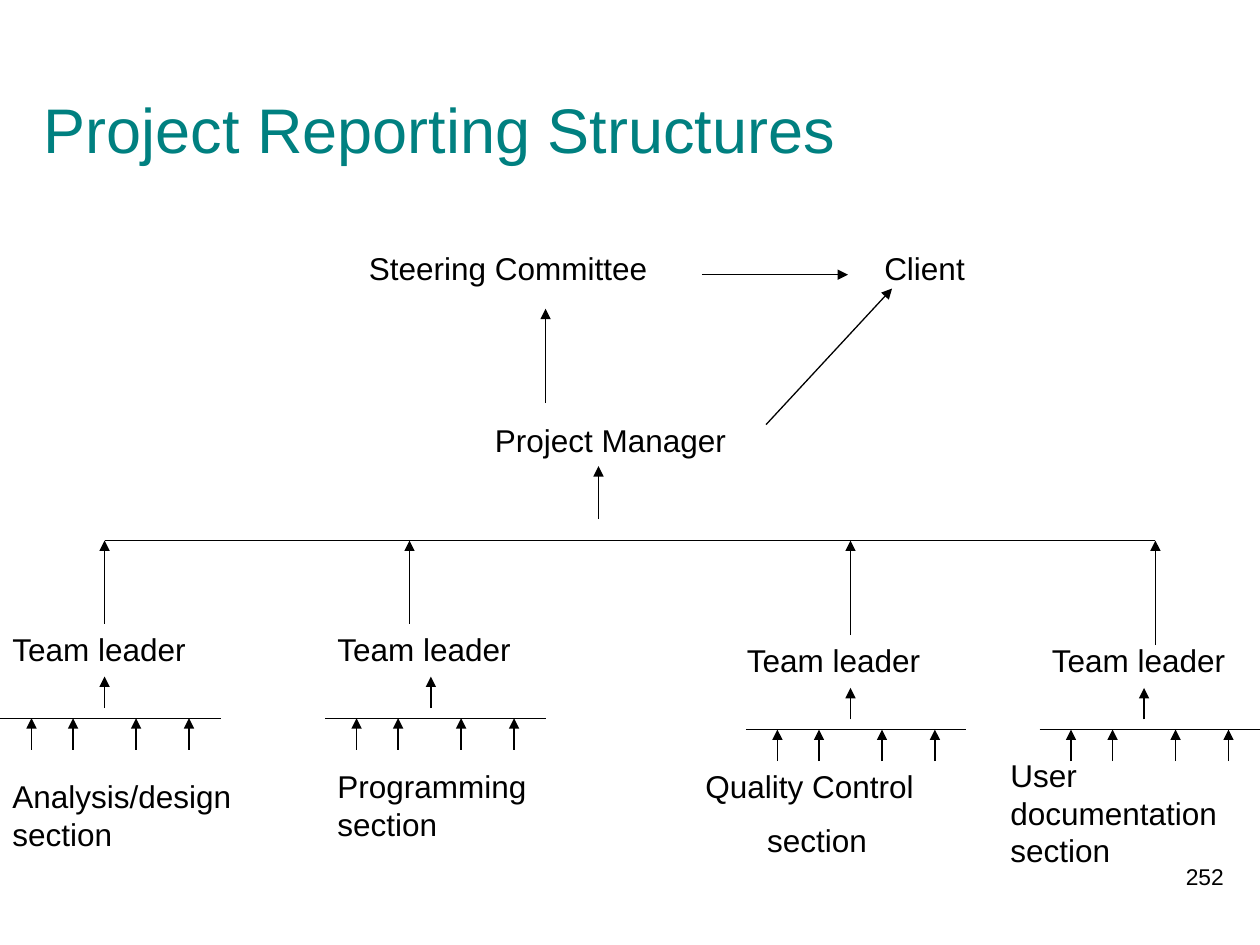
import pptx
import pptx.util
import pptx.dml.color
import pptx.enum.shapes
import pptx.enum.text
from lxml import etree
from pptx.util import Inches, Pt

BLACK = pptx.dml.color.RGBColor(0, 0, 0)
TEAL = pptx.dml.color.RGBColor(0, 128, 128)
FONT = "Arial"
DRAWING_NS = "{http://schemas.openxmlformats.org/drawingml/2006/main}"

ROLES = [
    ("Steering Committee", 2.83, 1.93),
    ("Client", 6.92, 1.93),
    ("Project Manager", 3.83, 3.29),
]
REPORTING_ARROWS = [
    ((5.57, 2.18), (6.73, 2.18)),
    ((4.33, 3.2), (4.33, 2.45)),
    ((6.08, 3.37), (7.08, 2.29)),
    ((4.75, 4.12), (4.75, 3.7)),
]
TEAMS = [
    dict(section=["Analysis/design section"], section_at=(0, 6.12), section_height=0.7,
         leader_x=0, riser_x=0.83, riser_bottom=4.95, bar_x=0, bar_y=5.7, stem_x=0.83),
    dict(section=["Programming section"], section_at=(2.58, 6.04), section_height=0.7,
         leader_x=2.58, riser_x=3.25, riser_bottom=4.95, bar_x=2.58, bar_y=5.7, stem_x=3.42),
    dict(section=["Quality Control", "section"], section_at=(5.5, 6.04), section_height=0.85,
         leader_x=5.83, riser_x=6.75, riser_bottom=5.04, bar_x=5.92, bar_y=5.79, stem_x=6.75),
    dict(section=["User documentation section"], section_at=(7.92, 5.95), section_height=1,
         leader_x=8.25, riser_x=9.17, riser_bottom=5.12, bar_x=8.25, bar_y=5.79, stem_x=9.08),
]
STAFF_OFFSETS = [0.25, 0.58, 1.08, 1.5]
TEAM_BAR_Y = 4.29
BAR_WIDTH = 1.75
LABEL_WIDTH, LABEL_HEIGHT = 3.5, 0.4
SECTION_WIDTH = 2.25
SECOND_LINE_INDENT = 0.49


def add_text(slide, lines, left, top, width, height, size=18, color=BLACK, align=None):
    box = slide.shapes.add_textbox(Inches(left), Inches(top), Inches(width), Inches(height))
    frame = box.text_frame
    frame.word_wrap = True
    for index, line in enumerate(lines):
        paragraph = frame.add_paragraph() if index else frame.paragraphs[0]
        paragraph.text = line
        paragraph.alignment = align
        if index:
            paragraph.space_before = Pt(size / 2)
            paragraph._p.get_or_add_pPr().set("marL", str(Inches(SECOND_LINE_INDENT)))
        paragraph.font.name = FONT
        paragraph.font.size = Pt(size)
        paragraph.font.color.rgb = color


def add_line(slide, start, end, arrow=True):
    line = slide.shapes.add_connector(
        pptx.enum.shapes.MSO_CONNECTOR.STRAIGHT, *(Inches(value) for value in (*start, *end)))
    line.line.color.rgb = BLACK
    line.line.width = Pt(0.75)
    if arrow:
        etree.SubElement(line.line._get_or_add_ln(), DRAWING_NS + "tailEnd", type="triangle")
    etree.SubElement(line._element.spPr, DRAWING_NS + "effectLst")


def add_team(slide, team):
    bar_x, bar_y = team["bar_x"], team["bar_y"]
    add_line(slide, (team["riser_x"], team["riser_bottom"]), (team["riser_x"], TEAM_BAR_Y))
    add_text(slide, ["Team leader"], team["leader_x"], bar_y - 0.75, LABEL_WIDTH, LABEL_HEIGHT)
    add_line(slide, (bar_x, bar_y), (bar_x + BAR_WIDTH, bar_y), arrow=False)
    add_line(slide, (team["stem_x"], bar_y - 0.08), (team["stem_x"], bar_y - 0.33))
    for offset in STAFF_OFFSETS:
        add_line(slide, (bar_x + offset, bar_y + 0.25), (bar_x + offset, bar_y))
    add_text(slide, team["section"], *team["section_at"], SECTION_WIDTH, team["section_height"])


def main():
    presentation = pptx.Presentation()
    presentation.slide_width = Inches(10)
    presentation.slide_height = Inches(7.5)
    slide = presentation.slides.add_slide(presentation.slide_layouts[6])

    for role, left, top in ROLES:
        add_text(slide, [role], left, top, LABEL_WIDTH, LABEL_HEIGHT)
    for start, end in REPORTING_ARROWS:
        add_line(slide, start, end)
    add_line(slide, (TEAMS[0]["riser_x"], TEAM_BAR_Y), (TEAMS[-1]["riser_x"], TEAM_BAR_Y), arrow=False)
    for team in TEAMS:
        add_team(slide, team)

    add_text(slide, ["Project Reporting Structures"], 0.25, 0.67, 7, 0.7, size=36, color=TEAL)
    add_text(slide, ["252"], 7.73, 6.8, 2.08, 0.5, size=13, align=pptx.enum.text.PP_ALIGN.RIGHT)
    presentation.save("out.pptx")


if __name__ == "__main__":
    main()
